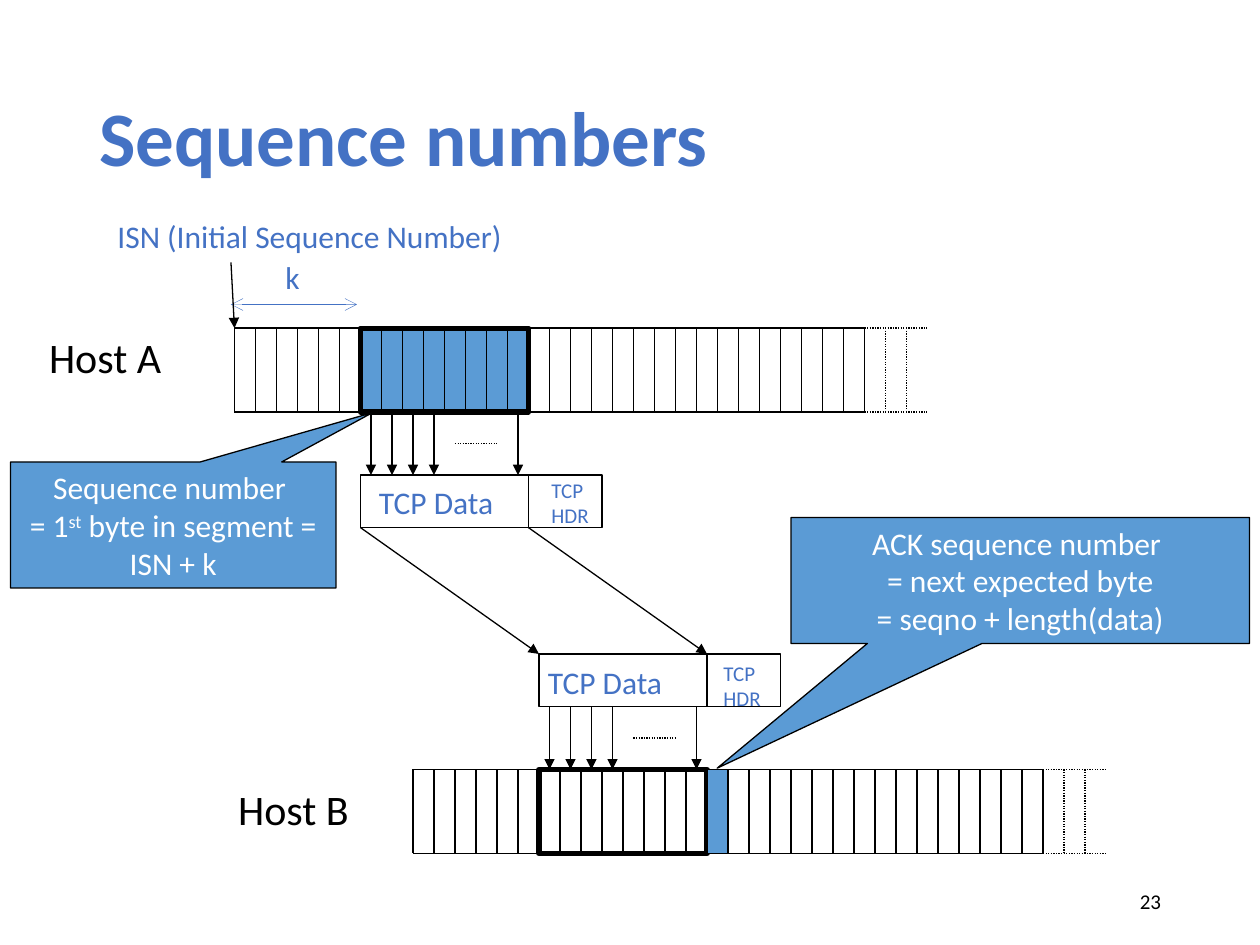
from lxml import etree
from pptx import Presentation
from pptx.dml.color import RGBColor
from pptx.enum import dml, shapes, text
from pptx.oxml.ns import qn
from pptx.util import Pt

THEME = {
    "font": "Calibri", "blue": "4472C4", "fill": "5B9BD5",
    "black": "000000", "white": "FFFFFF",
    "title": 44, "host": 24, "body": 18, "small": 12,
    "thin": 0.25, "line": 0.75, "thick": 3,
}
CELL, TALL, SOLID, DOTTED = 12, 48, 30, 3      # byte cell and strip counts
FIRST, COUNT = 6, 8                            # bytes carried by the segment
PACK, HEAD = 30, 42                            # packet height, header width
SENT = (0, 1, 2, 3, 7)                         # bytes drawn with an arrow

# x and y of each byte strip, y of its packet
HOST_A = {"x": 134, "y": 187.5, "pack": 271.5}
HOST_B = {"x": 236, "y": 439.7, "pack": 373.7}

# text, box, colour, size
LABELS = [
    (["Host B"], (129, 444, 87, 36), "black", "host"),
    (["Host A"], (21, 186, 86, 36), "black", "host"),
    (["ISN (Initial Sequence Number)"], (60, 120.5, 237, 29), "blue", "body"),
    (["k"], (156, 144, 23, 29), "blue", "body"),
]
DATA = [(["TCP Data"], (209.5, 272.3, 81, 29)),
        (["TCP Data"], (306, 375.3, 81, 29))]
HEADERS = [(["TCP", "HDR"], (308, 269.5, 36, 36)),
           (["TCP", "HDR"], (406.3, 374, 36, 36))]
# A paragraph may be a list of runs: "\n" breaks the line, a tuple is raised.
CALLOUTS = [
    (["ACK sequence number ", "= next expected byte",
      "= seqno + length(data)"], (452, 295.7, 262, 72), (-0.661, 1.49)),
    ([["Sequence number ", "\n", "= 1", ("st",),
       " byte in segment = ISN + k"]], (6, 264, 186, 72), (0.612, -0.891)),
]

deck = Presentation()
deck.slide_width, deck.slide_height = Pt(720), Pt(540)
slide = deck.slides.add_slide(deck.slide_layouts[5])


def rgb(name):
    return RGBColor.from_string(THEME[name])


def put(shape, box):
    shape.left, shape.top, shape.width, shape.height = map(Pt, box)


def write(frame, paras, color="blue", size="body", bold=False,
          align="LEFT", anchor="TOP", wrap=True, space=None):
    frame.word_wrap = wrap
    frame.vertical_anchor = getattr(text.MSO_ANCHOR, anchor)
    for i, runs in enumerate(paras):
        para = frame.add_paragraph() if i else frame.paragraphs[0]
        para.alignment = getattr(text.PP_ALIGN, align)
        if space:
            para.line_spacing = space
        for part in [runs] if isinstance(runs, str) else runs:
            if part == "\n":
                para.add_line_break()
                continue
            run = para.add_run()
            run.text = part if isinstance(part, str) else part[0]
            font = run.font
            font.name, font.size, font.bold = THEME["font"], Pt(THEME[size]), bold
            font.color.rgb = rgb(color)
            if isinstance(part, tuple):
                run._r.get_or_add_rPr().set("baseline", "30000")


def label(paras, box, **form):
    shape = slide.shapes.add_textbox(*map(Pt, box))
    write(shape.text_frame, paras, **form)
    return shape


def tag(paras, box, color="blue", size="body"):
    """Add an unwrapped label whose box fits its text."""
    shape = label(paras, box, color=color, size=size, wrap=False)
    shape.text_frame.auto_size = text.MSO_AUTO_SIZE.SHAPE_TO_FIT_TEXT


def block(box, fill=None, line="line", kind="RECTANGLE"):
    shape = slide.shapes.add_shape(
        getattr(shapes.MSO_SHAPE, kind), *map(Pt, box))
    shape.shadow.inherit = False
    if fill:
        shape.fill.solid()
        shape.fill.fore_color.rgb = rgb(fill)
    else:
        shape.fill.background()
    shape.line.color.rgb = rgb("black")
    shape.line.width = Pt(THEME[line])
    return shape


def rule(x1, y1, x2, y2, dots=False, color="black", line="line",
         head=None, tail=None):
    wire = slide.shapes.add_connector(
        shapes.MSO_CONNECTOR.STRAIGHT, *map(Pt, (x1, y1, x2, y2)))
    wire.line.color.rgb = rgb(color)
    wire.line.width = Pt(THEME[line])
    if dots:
        wire.line.dash_style = dml.MSO_LINE.ROUND_DOT
    for end, kind in (("a:headEnd", head), ("a:tailEnd", tail)):
        if kind:
            etree.SubElement(wire.line._get_or_add_ln(), qn(end), type=kind)
    etree.SubElement(wire._element.spPr, qn("a:effectLst"))


def seg(host):
    """Left edge of the bytes that the segment carries."""
    return host["x"] + FIRST * CELL


def strip(host):
    x, top = host["x"], host["y"]
    mid, end = x + SOLID * CELL, x + (SOLID + DOTTED) * CELL
    for y in (top, top + TALL):
        rule(x, y, mid, y)
        rule(mid, y, end, y, dots=True)
    for i in range(SOLID + DOTTED):
        rule(x + i * CELL, top, x + i * CELL, top + TALL, dots=i > SOLID)


def flow(host, start, stop):
    """Draw the byte arrows between a strip and its packet."""
    for i in SENT:
        x = seg(host) + (i + 0.5) * CELL
        rule(x, start, x, stop, tail="triangle")
    x, y = seg(host) + 4.5 * CELL, (start + stop) / 2
    rule(x, y, x + 2 * CELL, y, dots=True)


WIDE = COUNT * CELL
title = slide.shapes.title
put(title, (49.5, 28.8, 621, 104.4))
write(title.text_frame, ["Sequence numbers"], size="title", bold=True,
      anchor="MIDDLE", space=0.9)
title.text_frame.auto_size = text.MSO_AUTO_SIZE.NONE

block((seg(HOST_A), HOST_A["y"], WIDE, TALL), "fill", "thick")
for host in (HOST_A, HOST_B):
    strip(host)
    block((seg(host), host["pack"], WIDE, PACK), "white")
for x in (0, WIDE):
    rule(seg(HOST_A) + x, HOST_A["pack"] + PACK,
         seg(HOST_B) + x, HOST_B["pack"], tail="triangle")
flow(HOST_A, HOST_A["y"] + TALL, HOST_A["pack"])
flow(HOST_B, HOST_B["pack"] + PACK, HOST_B["y"])

for words, box in DATA:
    tag(words, box)
for host, (words, box) in zip((HOST_A, HOST_B), HEADERS):
    block((seg(host) + WIDE, host["pack"], HEAD, PACK), "white")
    tag(words, box, size="small")

block((seg(HOST_B), HOST_B["y"], WIDE, TALL), line="thick")
for words, box, tip in CALLOUTS:
    call = block(box, "fill", kind="RECTANGULAR_CALLOUT")
    call.adjustments[0], call.adjustments[1] = tip
    write(call.text_frame, words, color="white", align="CENTER")
block((seg(HOST_B) + WIDE, HOST_B["y"], CELL, TALL), "fill")

rule(132, 174, 204, 174, color="blue", line="thin", head="arrow", tail="arrow")
rule(132, 150, HOST_A["x"], HOST_A["y"], tail="triangle")
for words, box, color, size in LABELS:
    tag(words, box, color, size)
label(["23"], (508.5, 500.5, 162, 28.8), color="black", size="small",
      align="RIGHT", anchor="MIDDLE")

deck.save("out.pptx")
